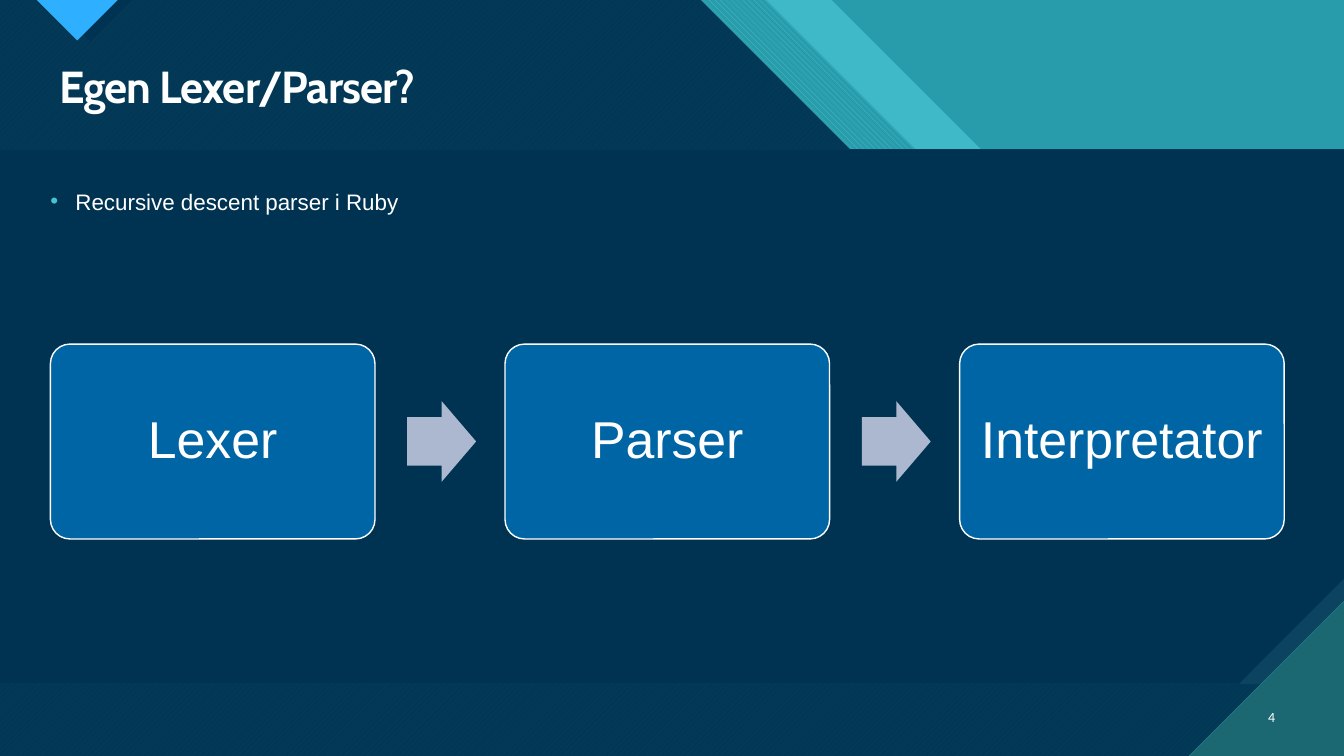
from dataclasses import dataclass

from lxml import etree
from pptx import Presentation
from pptx.dml.color import RGBColor
from pptx.enum.dml import MSO_PATTERN
from pptx.enum.shapes import MSO_SHAPE
from pptx.enum.text import MSO_ANCHOR, PP_ALIGN
from pptx.oxml.ns import qn
from pptx.util import Inches, Pt

ROUNDED = MSO_SHAPE.ROUNDED_RECTANGLE
ARROW = MSO_SHAPE.RIGHT_ARROW
DOWN_STRIPES = MSO_PATTERN.WIDE_DOWNWARD_DIAGONAL
UP_STRIPES = MSO_PATTERN.WIDE_UPWARD_DIAGONAL
HORIZONTAL = MSO_PATTERN.DARK_HORIZONTAL
VERTICAL = MSO_PATTERN.DARK_VERTICAL
MIDDLE = MSO_ANCHOR.MIDDLE
LEFT, CENTER, RIGHT = PP_ALIGN.LEFT, PP_ALIGN.CENTER, PP_ALIGN.RIGHT

PAGE_WIDTH, PAGE_HEIGHT = Inches(13.33), Inches(7.5)
COLUMNS, ROWS = 80, 45
COLUMN, ROW = PAGE_WIDTH / COLUMNS, PAGE_HEIGHT / ROWS
SHELF_ROW = 17.8
PANEL_TOP, PANEL_BOTTOM, PANEL_SNIP = 8.9, 40.7, 6.26
CORNER = 9.24
STEP_LEFT, STEP_TOP, STEP_WIDTH, STEP_HEIGHT, STEP_PITCH = 3, 20.48, 19.32, 11.6, 27.06
ARROW_OFFSET, ARROW_WIDTH, ARROW_HEIGHT = 21.24, 4.1, 4.8
STEPS = ("Lexer", "Parser", "Interpretator")


@dataclass(frozen=True)
class Theme:
    navy: str = "003352"
    navy_edge: str = "0C4360"
    teal: str = "299CAB"
    light_teal: str = "47C3D3"
    dark_teal: str = "1B6872"
    bright_blue: str = "2FAFFF"
    step_blue: str = "0065A4"
    arrow: str = "ABB8CF"
    white: str = "FFFFFF"
    title_font: str = "Cabin"
    body_font: str = "Arial"
    number_font: str = "Calibri"
    title_size: int = 32
    step_size: int = 37
    bullet_size: int = 16
    number_size: int = 10


THEME = Theme()


def color(value):
    return RGBColor.from_string(value)


def place(left, top, width, height):
    return round(left * COLUMN), round(top * ROW), round(width * COLUMN), round(height * ROW)


def paint(shape, fill, alpha=None):
    shape.shadow.inherit = False
    shape.line.fill.background()
    shape.fill.solid()
    shape.fill.fore_color.rgb = color(fill)
    if alpha:
        tint = shape.fill._xPr.find(qn("a:solidFill"))[0]
        etree.SubElement(tint, qn("a:alpha"), val=str(alpha * 1000))


def hatch(shape, pattern, front, back):
    paint(shape, front)
    shape.fill.patterned()
    shape.fill.pattern = pattern
    shape.fill.fore_color.rgb = color(front)
    shape.fill.back_color.rgb = color(back)


def polygon(page, points):
    corners = [(round(column * COLUMN), round(row * ROW)) for column, row in points]
    builder = page.shapes.build_freeform(*corners[0])
    builder.add_line_segments(corners[1:])
    return builder.convert_to_shape()


def slanted_layer(page, start, shelf_end):
    return polygon(page, [
        (0, 0), (start, 0), (start + SHELF_ROW, SHELF_ROW), (shelf_end, SHELF_ROW),
        (COLUMNS, SHELF_ROW + COLUMNS - shelf_end), (COLUMNS, ROWS), (0, ROWS),
    ])


def top_triangle(page, left, right):
    return polygon(page, [(left, 0), ((left + right) / 2, (right - left) / 2), (right, 0)])


def write(shape, text, size, font, align=LEFT, bold=False):
    para = shape.text_frame.paragraphs[0]
    para.text = text
    para.alignment = align
    span = para.runs[0]
    span.font.size = Pt(size)
    span.font.name = font
    span.font.bold = bold
    span.font.color.rgb = color(THEME.white)
    return para


def text_box(page, area, text, size, font, **style):
    box = page.shapes.add_textbox(*place(*area))
    box.text_frame.word_wrap = True
    box.text_frame.vertical_anchor = MIDDLE
    return write(box, text, size, font, **style)


def add_bullet(para):
    para.space_before, para.space_after = Pt(6), Pt(4)
    settings = para._p.get_or_add_pPr()
    settings.set("marL", str(Inches(0.25)))
    settings.set("indent", str(-Inches(0.25)))
    tint = etree.SubElement(settings, qn("a:buClr"))
    etree.SubElement(tint, qn("a:srgbClr"), val=THEME.light_teal)
    etree.SubElement(settings, qn("a:buFont"), typeface=THEME.body_font)
    etree.SubElement(settings, qn("a:buChar"), char="•")


def draw_backdrop(page):
    page.background.fill.solid()
    page.background.fill.fore_color.rgb = color(THEME.teal)
    paint(slanted_layer(page, 49.5, 74), THEME.light_teal, 74)
    hatch(slanted_layer(page, 45.6, 71), DOWN_STRIPES, THEME.light_teal, THEME.teal)
    hatch(slanted_layer(page, 41.7, 67.1), UP_STRIPES, THEME.light_teal, THEME.dark_teal)
    paint(slanted_layer(page, 41.7, 67.1), THEME.navy, 90)
    paint(top_triangle(page, 2.9, 7.86), THEME.navy)
    hatch(top_triangle(page, 2.2, 7), HORIZONTAL, THEME.bright_blue, THEME.dark_teal)


def draw_panel(page):
    top = [(0, PANEL_TOP), (COLUMNS, PANEL_TOP)]
    edge = polygon(page, top + [(COLUMNS, PANEL_BOTTOM), (0, PANEL_BOTTOM)])
    hatch(edge, VERTICAL, THEME.navy_edge, THEME.dark_teal)
    paint(polygon(page, top + [
        (COLUMNS, PANEL_BOTTOM - PANEL_SNIP), (COLUMNS - PANEL_SNIP, PANEL_BOTTOM),
        (0, PANEL_BOTTOM),
    ]), THEME.navy)
    corner = polygon(page, [(COLUMNS - CORNER, ROWS), (COLUMNS, ROWS), (COLUMNS, ROWS - CORNER)])
    hatch(corner, HORIZONTAL, THEME.dark_teal, THEME.light_teal)


def draw_step(page, left, label):
    box = page.shapes.add_shape(ROUNDED, *place(left, STEP_TOP, STEP_WIDTH, STEP_HEIGHT))
    box.adjustments[0] = 0.1
    paint(box, THEME.step_blue)
    box.line.color.rgb = color(THEME.white)
    box.line.width = Pt(1)
    frame = box.text_frame
    frame.margin_left = frame.margin_right = 0
    frame.vertical_anchor = MIDDLE
    write(box, label, THEME.step_size, THEME.body_font, align=CENTER).line_spacing = 0.9


def draw_arrow(page, left):
    top = STEP_TOP + (STEP_HEIGHT - ARROW_HEIGHT) / 2
    arrow = page.shapes.add_shape(ARROW, *place(left, top, ARROW_WIDTH, ARROW_HEIGHT))
    arrow.adjustments[0] = 0.6
    paint(arrow, THEME.arrow)


def draw_flow(page):
    for index, label in enumerate(STEPS):
        left = STEP_LEFT + index * STEP_PITCH
        draw_step(page, left, label)
        if index < len(STEPS) - 1:
            draw_arrow(page, left + ARROW_OFFSET)


def main():
    deck = Presentation()
    deck.slide_width, deck.slide_height = PAGE_WIDTH, PAGE_HEIGHT
    page = deck.slides.add_slide(deck.slide_layouts[6])
    draw_backdrop(page)
    draw_panel(page)
    title = text_box(page, (2.94, 3.54, 73.6, 3.54), "Egen Lexer/Parser?",
                     THEME.title_size, THEME.title_font, bold=True)
    title.line_spacing = 0.9
    title.runs[0].font._element.set("spc", "-70")
    text_box(page, (73.9, 41.46, 2.6, 2.4), "4",
             THEME.number_size, THEME.number_font, align=RIGHT)
    draw_flow(page)
    add_bullet(text_box(page, (2.4, 10.86, 40, 2.22), "Recursive descent parser i Ruby",
                        THEME.bullet_size, THEME.body_font))
    deck.save("out.pptx")


if __name__ == "__main__":
    main()
